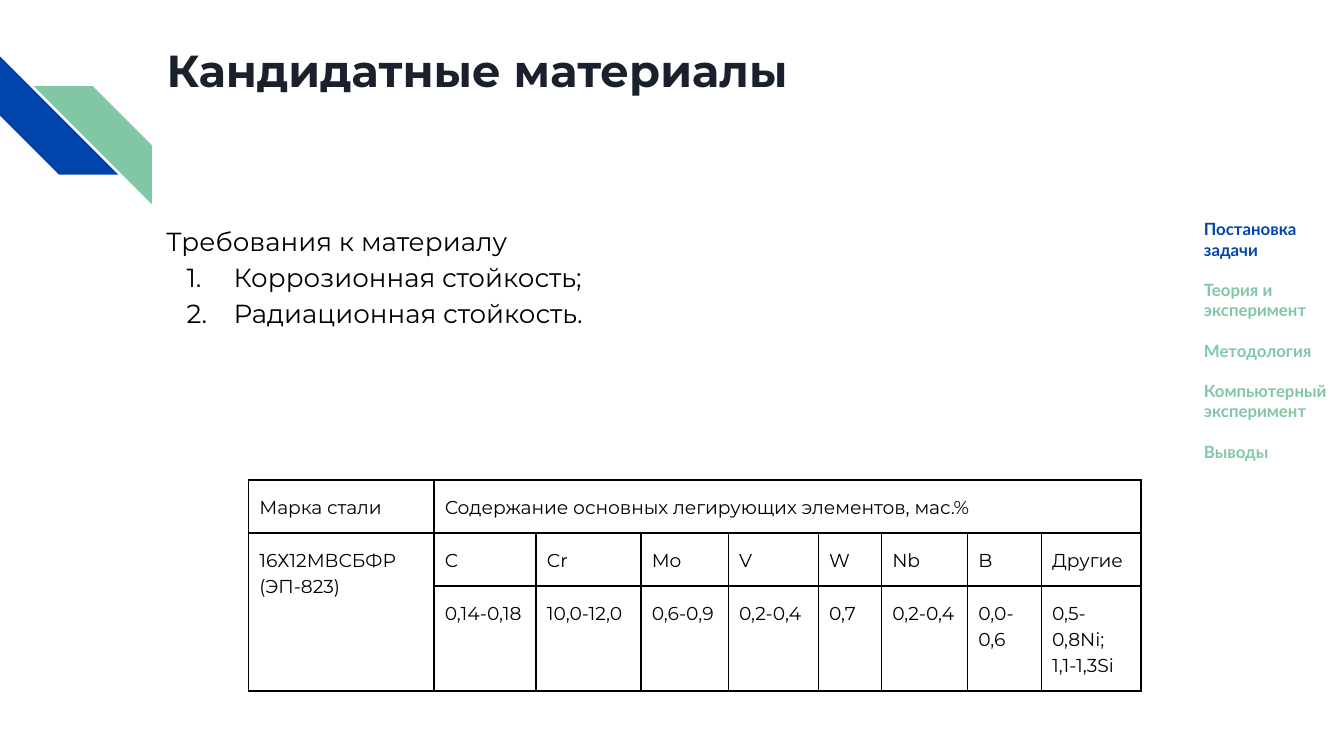
from lxml import etree
from pptx import Presentation
from pptx.dml.color import RGBColor
from pptx.enum.shapes import MSO_SHAPE
from pptx.enum.text import MSO_ANCHOR, MSO_AUTO_SIZE, PP_ALIGN
from pptx.oxml.ns import qn
from pptx.util import Inches, Pt

STRIPE = MSO_SHAPE.DIAGONAL_STRIPE
TOP, LEFT = MSO_ANCHOR.TOP, PP_ALIGN.LEFT
BLUE, GREEN, DARK, BLACK = "0145AC", "82C7A5", "1B212C", "000000"

# Content
TITLE = "Кандидатные материалы"
INTRO = "Требования к материалу"
REQUIREMENTS = ["Коррозионная стойкость;", "Радиационная стойкость."]
SECTIONS = ["Постановка задачи", "Теория и эксперимент", "Методология",
            "Компьютерный эксперимент", "Выводы"]
CURRENT_SECTION = 0
STEEL_ROWS = [
    ["Марка стали", "Содержание основных легирующих элементов, мас.%"],
    ["16Х12МВСБФР\n(ЭП-823)", "C", "Cr", "Mo", "V", "W", "Nb", "B", "Другие"],
    ["", "0,14-0,18", "10,0-12,0", "0,6-0,9", "0,2-0,4", "0,7", "0,2-0,4",
     "0,0-0,6", "0,5-0,8Ni; 1,1-1,3Si"],
]
COLUMN_WIDTHS = [1.38, 0.76, 0.78, 0.65, 0.67, 0.47, 0.64, 0.55, 0.74]
ROW_HEIGHTS = [0.39, 0.39, 0.78]
STRIPES = [(0, 0.42, 270, BLUE), (0.25, 0.64, 90, GREEN)]


def rgb(value):
    return RGBColor.from_string(value)


def style(para, font, size, color, bold=False, spacing=1.0):
    para.alignment = LEFT
    para.line_spacing = spacing
    para.font.name = font
    para.font.size = Pt(size)
    para.font.bold = bold
    para.font.color.rgb = rgb(color)


def prepare(frame):
    frame.word_wrap = True
    frame.auto_size = MSO_AUTO_SIZE.NONE
    frame.vertical_anchor = TOP
    frame.margin_left = frame.margin_right = Inches(0.1)
    frame.margin_top = frame.margin_bottom = Inches(0.1)


def add_text(page, left, top, width, height, lines):
    box = page.shapes.add_textbox(*map(Inches, (left, top, width, height)))
    prepare(box.text_frame)
    box.text_frame.text = "\n".join(lines)
    return box.text_frame.paragraphs


def number(para):
    props = para._p.get_or_add_pPr()
    props.set("marL", str(Inches(0.5)))
    props.set("indent", str(Inches(-0.35)))
    etree.SubElement(props, qn("a:buFont"), typeface="Montserrat")
    etree.SubElement(props, qn("a:buAutoNum"), type="arabicPeriod")


def add_borders(cell):
    props = cell._tc.get_or_add_tcPr()
    for index, side in enumerate(("a:lnL", "a:lnR", "a:lnT", "a:lnB")):
        line = etree.Element(qn(side), w=str(Pt(1)))
        fill = etree.SubElement(line, qn("a:solidFill"))
        etree.SubElement(fill, qn("a:srgbClr"), val=BLACK)
        props.insert(index, line)


# Widescreen page, 16:9
deck = Presentation()
deck.slide_width, deck.slide_height = Inches(10), Inches(10 * 9 / 16)
page = deck.slides.add_slide(deck.slide_layouts[5])

# Corner stripes
for left, top, angle, color in STRIPES:
    stripe = page.shapes.add_shape(STRIPE, Inches(left), Inches(top),
                                   Inches(0.88), Inches(0.88))
    stripe.rotation = angle
    stripe.shadow.inherit = False
    stripe.fill.solid()
    stripe.fill.fore_color.rgb = rgb(color)
    stripe.line.fill.background()

# Title
title = page.shapes.title
title.left, title.top = Inches(1.14), Inches(0.22)
title.width, title.height = Inches(4.86), Inches(0.67)
title.text_frame.text = TITLE
prepare(title.text_frame)
style(title.text_frame.paragraphs[0], "Montserrat", 24, DARK, bold=True)

# Requirements
paragraphs = add_text(page, 1.14, 1.54, 7.73, 4.09, [INTRO] + REQUIREMENTS)
for index, para in enumerate(paragraphs):
    if index > 0:
        number(para)
    style(para, "Montserrat", 14, BLACK, spacing=1.15)

# Steel composition table
table = page.shapes.add_table(
    len(ROW_HEIGHTS), len(COLUMN_WIDTHS), Inches(1.85), Inches(3.57),
    Inches(sum(COLUMN_WIDTHS)), Inches(sum(ROW_HEIGHTS))).table
table.first_row = table.horz_banding = False
for column, width in zip(table.columns, COLUMN_WIDTHS):
    column.width = Inches(width)
for row, height in zip(table.rows, ROW_HEIGHTS):
    row.height = Inches(height)
for row, texts in zip(table.rows, STEEL_ROWS):
    for cell, text in zip(row.cells, texts):
        cell.text = text
    for cell in row.cells:
        cell.fill.background()
        cell.margin_left = cell.margin_right = Inches(0.08)
        cell.margin_top = cell.margin_bottom = Inches(0.1)
        add_borders(cell)
        for para in cell.text_frame.paragraphs:
            style(para, "Montserrat", 10, BLACK, spacing=1.15)
table.cell(0, 1).merge(table.cell(0, len(COLUMN_WIDTHS) - 1))
table.cell(1, 0).merge(table.cell(2, 0))

# Section navigation
for index, para in enumerate(add_text(page, 8.86, 1.53, 1.14, 4.09, SECTIONS)):
    style(para, "Lato", 9, BLUE if index == CURRENT_SECTION else GREEN, bold=True)
    if index > 0:
        para.space_before = Pt(10.8)

deck.save("out.pptx")
